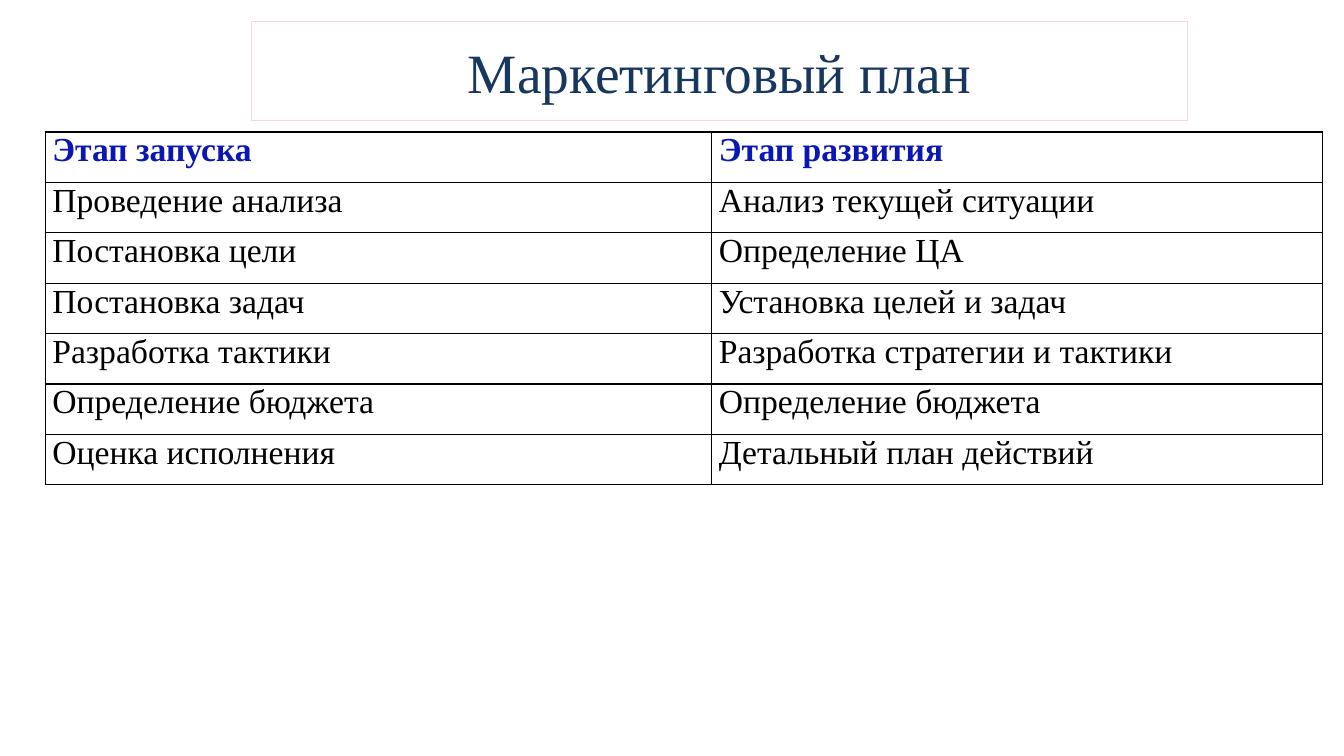
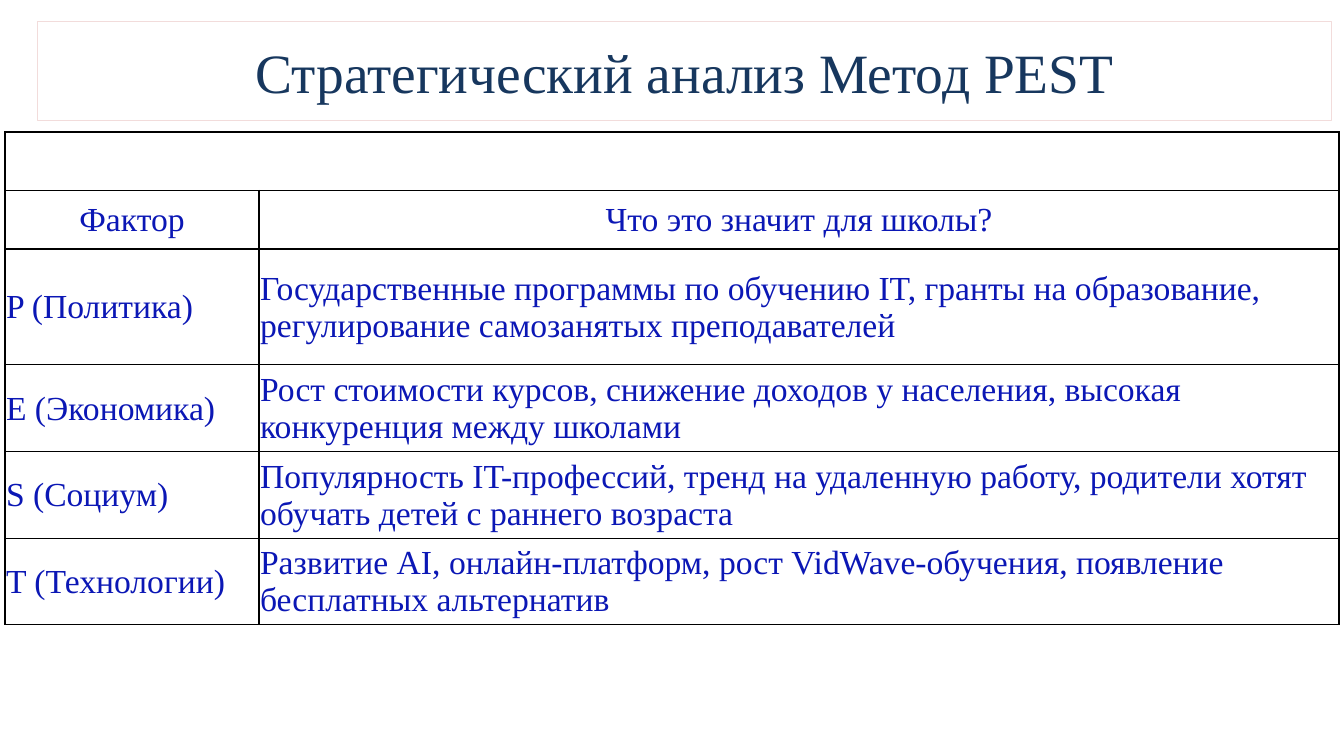
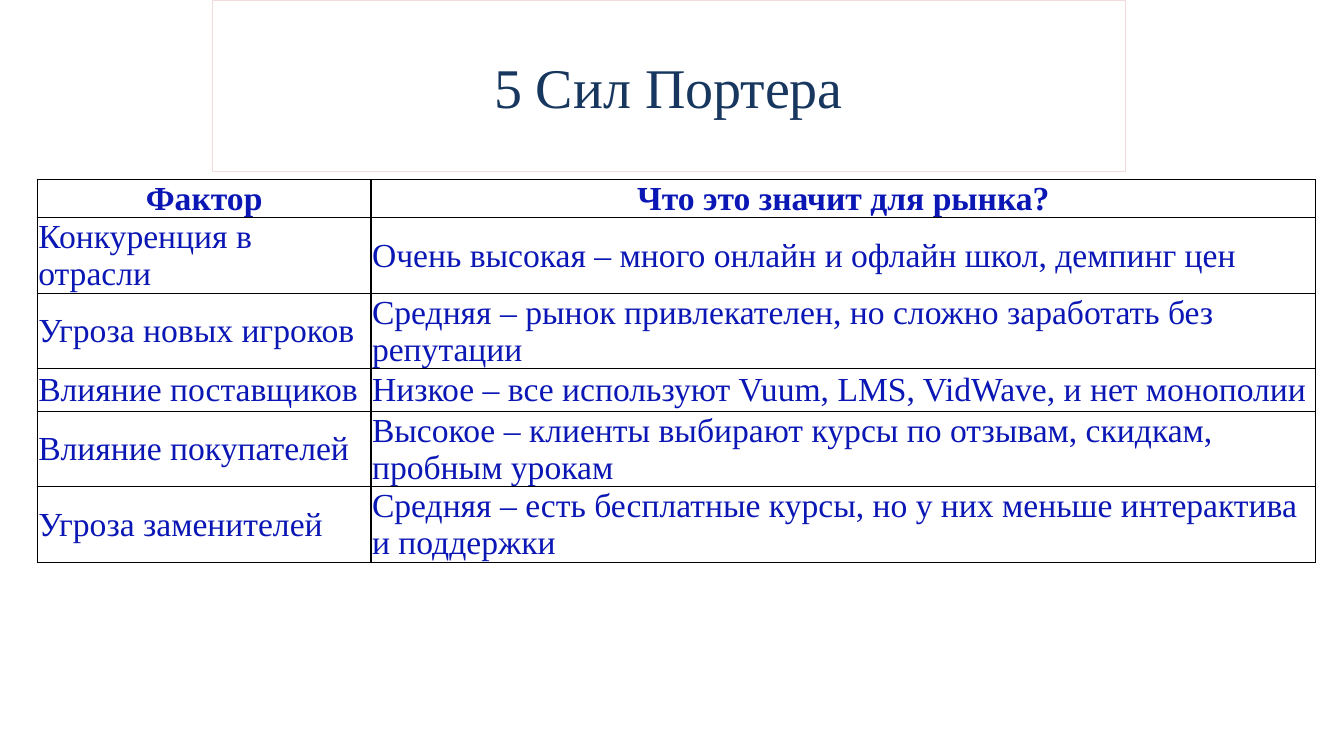
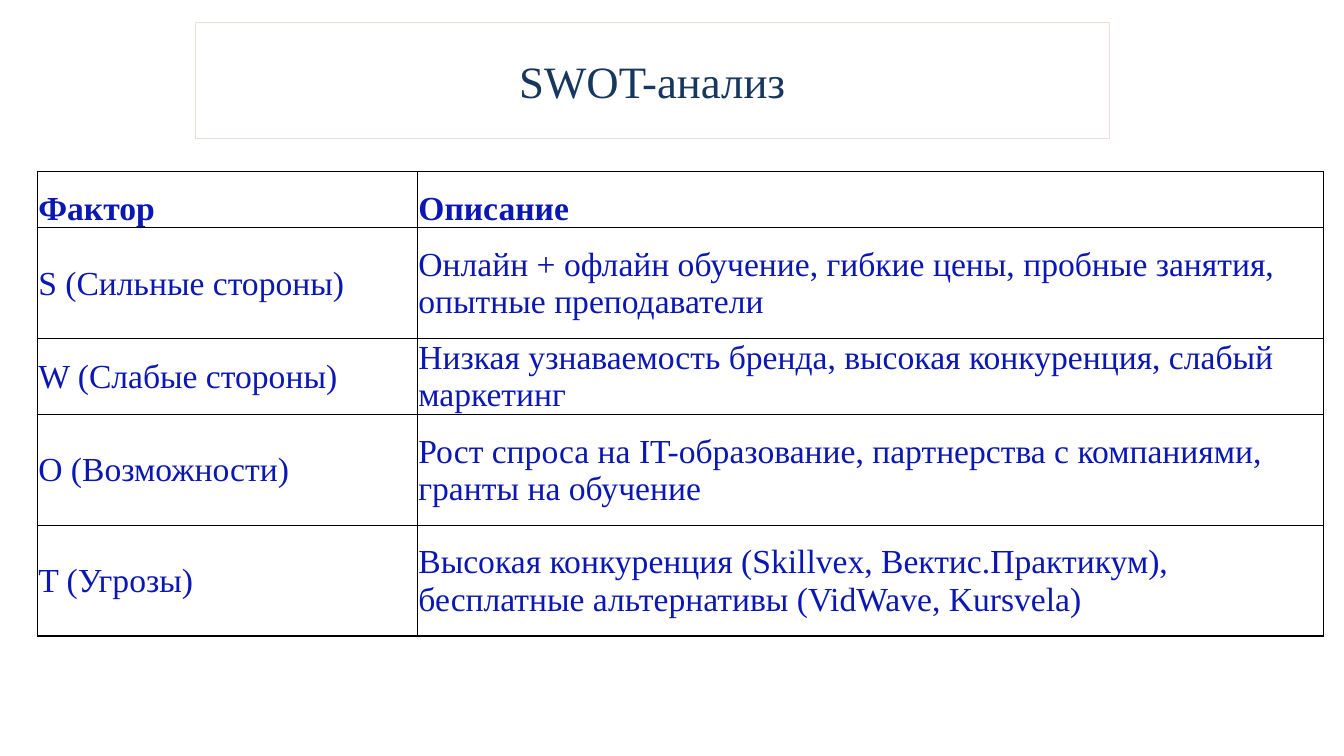
from lxml.etree import SubElement
from pptx import Presentation
from pptx.dml.color import RGBColor
from pptx.enum.text import MSO_ANCHOR, MSO_AUTO_SIZE, PP_ALIGN
from pptx.oxml.ns import qn
from pptx.util import Inches, Pt

# Shared look
COLORS = {
    "white": "FFFFFF",
    "black": "000000",
    "navy": "17375E",
    "blue": "0B17B5",
    "pink": "F2DCDB",
}
FONT = "Times New Roman"
TABLE_SIZE = 24
TIGHT = (0.01, 0.01, 0.01, 0)  # left, top, right, bottom insets
ROOMY = (0.07, 0, 0.07, 0)


def rgb(name):
    return RGBColor.from_string(COLORS[name])


def set_attrs(obj, values):
    for name, value in values.items():
        setattr(obj, name, value)


def fill_white(obj):
    obj.fill.solid()
    obj.fill.fore_color.rgb = rgb("white")


def write(tf, text, size, color, align=None, bold=False):
    p = tf.paragraphs[0]
    p.alignment = align
    r = p.add_run()
    r.text = text
    set_attrs(r.font, {"name": FONT, "size": Pt(size), "bold": bold})
    r.font.color.rgb = rgb(color)


def add_titled_slide(prs, text, box, size=40, line_width=0.25):
    s = prs.slides.add_slide(prs.slide_layouts[5])
    sp = s.shapes.title
    left, top, width, height = map(Inches, box)
    set_attrs(sp, {"left": left, "top": top, "width": width, "height": height})
    fill_white(sp)
    sp.line.color.rgb = rgb("pink")
    sp.line.width = Pt(line_width)
    tf = sp.text_frame
    set_attrs(tf, {"word_wrap": True, "auto_size": MSO_AUTO_SIZE.NONE,
                   "vertical_anchor": MSO_ANCHOR.MIDDLE})
    write(tf, text, size, "navy", PP_ALIGN.CENTER)
    return s


def add_borders(cell):
    tcPr = cell._tc.get_or_add_tcPr()
    for side in ("lnL", "lnR", "lnT", "lnB"):
        ln = SubElement(tcPr, qn(f"a:{side}"), w=str(Pt(1)))
        fill = SubElement(ln, qn("a:solidFill"))
        SubElement(fill, qn("a:srgbClr"), val=COLORS["black"])


def format_cell(cell, insets, anchor):
    add_borders(cell)
    fill_white(cell)
    sides = ("margin_left", "margin_top", "margin_right", "margin_bottom")
    set_attrs(cell, dict(zip(sides, map(Inches, insets))))
    cell.vertical_anchor = anchor


def add_grid(s, left, top, cols, heights, rows, header=0, insets=TIGHT,
             anchor=MSO_ANCHOR.MIDDLE, header_anchor=MSO_ANCHOR.MIDDLE,
             align=None, header_align=None, header_bold=True, color="blue"):
    """Bordered table; header is the index of the heading row."""
    frame = s.shapes.add_table(len(rows), len(cols), Inches(left), Inches(top),
                               Inches(sum(cols)), Inches(sum(heights)))
    table = frame.table
    set_attrs(table, {"first_row": False, "horz_banding": False})
    for column, width in zip(table.columns, cols):
        column.width = Inches(width)
    for i, (height, texts) in enumerate(zip(heights, rows)):
        table.rows[i].height = Inches(height)
        is_header = i == header
        for j, text in enumerate(texts):
            cell = table.cell(i, j)
            format_cell(cell, insets, header_anchor if is_header else anchor)
            if text:
                write(cell.text_frame, text, TABLE_SIZE,
                      "blue" if is_header else color,
                      header_align if is_header else align,
                      is_header and header_bold)
    return table


def add_marketing_plan(prs):
    s = add_titled_slide(prs, "Маркетинговый план", (2.49, 0.21, 9.29, 0.99),
                         size=39.6, line_width=0.75)
    rows = [
        ("Этап запуска", "Этап развития"),
        ("Проведение анализа", "Анализ текущей ситуации"),
        ("Постановка цели", "Определение ЦА"),
        ("Постановка задач", "Установка целей и задач"),
        ("Разработка тактики", "Разработка стратегии и тактики"),
        ("Определение бюджета", "Определение бюджета"),
        ("Оценка исполнения", "Детальный план действий"),
    ]
    add_grid(s, 0.45, 1.31, (6.61, 6.06), [0.5] * len(rows), rows,
             insets=ROOMY, anchor=MSO_ANCHOR.TOP, header_anchor=MSO_ANCHOR.TOP,
             align=PP_ALIGN.JUSTIFY, header_align=PP_ALIGN.JUSTIFY,
             color="black")


def add_pest(prs):
    s = add_titled_slide(prs, "Стратегический анализ Метод PEST",
                         (0.37, 0.21, 12.84, 0.99), size=39.6, line_width=0.75)
    rows = [
        ("", ""),
        ("Фактор", "Что это значит для школы?"),
        ("P (Политика)", "Государственные программы по обучению IT, гранты на "
         "образование, регулирование самозанятых преподавателей"),
        ("E (Экономика)", "Рост стоимости курсов, снижение доходов у "
         "населения, высокая конкуренция между школами"),
        ("S (Социум)", "Популярность IT-профессий, тренд на удаленную работу, "
         "родители хотят обучать детей с раннего возраста"),
        ("T (Технологии)", "Развитие AI, онлайн-платформ, рост "
         "VidWave-обучения, появление бесплатных альтернатив"),
    ]
    table = add_grid(s, 0.05, 1.31, (2.52, 10.71),
                     (0.58, 0.58, 1.15, 0.86, 0.86, 0.86), rows, header=1,
                     header_align=PP_ALIGN.CENTER, header_bold=False)
    table.cell(0, 0).merge(table.cell(0, 1))


def add_porter(prs):
    s = add_titled_slide(prs, "5 Сил Портера", (2.1, 0, 9.06, 1.7))
    rows = [
        ("Фактор", "Что это значит для рынка?"),
        ("Конкуренция в отрасли",
         "Очень высокая – много онлайн и офлайн школ, демпинг цен"),
        ("Угроза новых игроков", "Средняя – рынок привлекателен, но сложно "
         "заработать без репутации"),
        ("Влияние поставщиков",
         "Низкое – все используют Vuum, LMS, VidWave, и нет монополии"),
        ("Влияние покупателей", "Высокое – клиенты выбирают курсы по отзывам, "
         "скидкам, пробным урокам"),
        ("Угроза заменителей", "Средняя – есть бесплатные курсы, но у них "
         "меньше интерактива и поддержки"),
    ]
    add_grid(s, 0.37, 1.78, (3.31, 9.37), (0.37, 0.75, 0.75, 0.42, 0.75, 0.75),
             rows, header_align=PP_ALIGN.CENTER)


def add_swot(prs):
    s = add_titled_slide(prs, "SWOT-анализ", (1.94, 0.22, 9.06, 1.15), size=32)
    rows = [
        ("Фактор", "Описание"),
        ("S (Сильные стороны)", "Онлайн + офлайн обучение, гибкие цены, "
         "пробные занятия, опытные преподаватели"),
        ("W (Слабые стороны)", "Низкая узнаваемость бренда, высокая "
         "конкуренция, слабый маркетинг"),
        ("O (Возможности)", "Рост спроса на IT-образование, партнерства с "
         "компаниями, гранты на обучение"),
        ("T (Угрозы)", "Высокая конкуренция (Skillvex, Вектис.Практикум), "
         "бесплатные альтернативы (VidWave, Kursvela)"),
    ]
    add_grid(s, 0.37, 1.7, (3.77, 8.99), (0.56, 1.1, 0.75, 1.1, 1.1), rows,
             header_anchor=MSO_ANCHOR.BOTTOM)


def main():
    prs = Presentation()
    set_attrs(prs, {"slide_width": Inches(13.33), "slide_height": Inches(7.5)})
    for add_slide in (add_marketing_plan, add_pest, add_porter, add_swot):
        add_slide(prs)
    prs.save("out.pptx")


if __name__ == "__main__":
    main()
